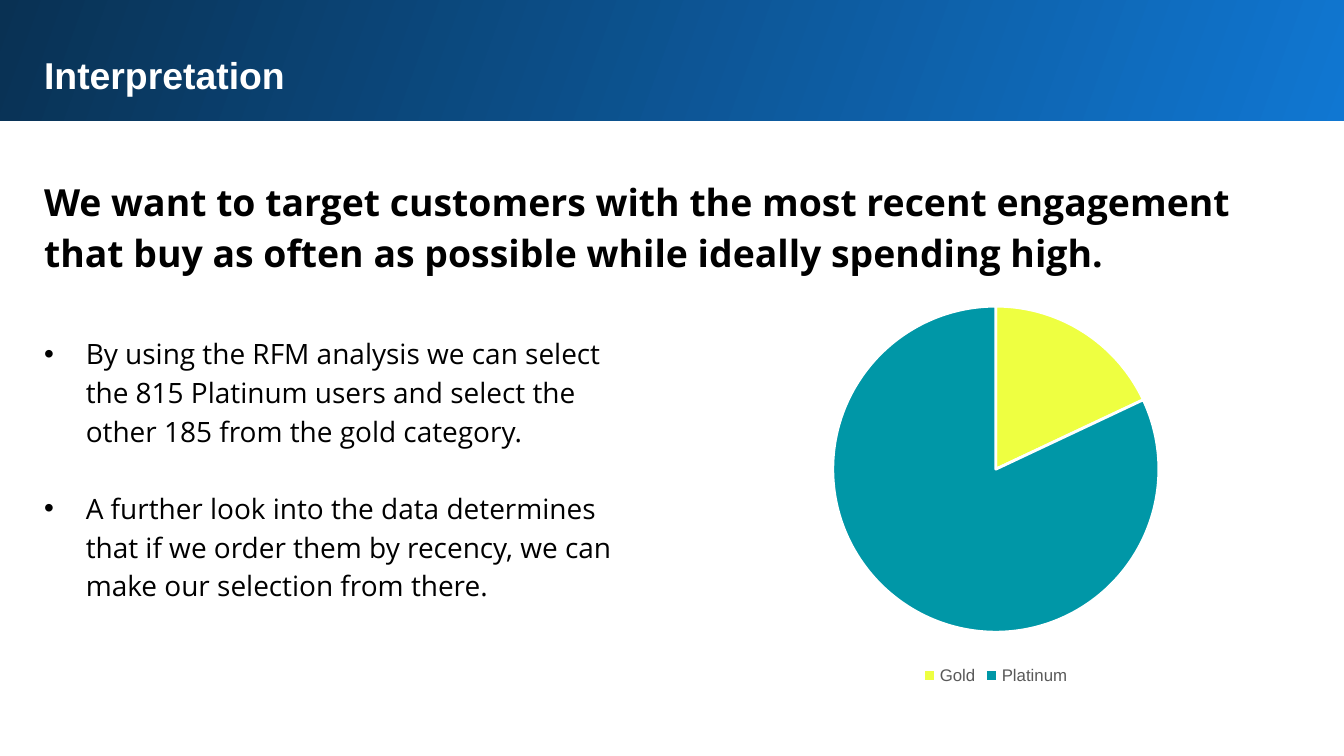
from lxml import etree
from pptx import Presentation
from pptx.chart.data import CategoryChartData
from pptx.dml.color import RGBColor
from pptx.enum.chart import XL_CHART_TYPE as ChartType, XL_LEGEND_POSITION as LegendPosition
from pptx.enum.shapes import MSO_SHAPE as ShapeType
from pptx.oxml.ns import qn
from pptx.util import Inches, Pt

THEME = {
    "white": "FFFFFF", "black": "000000", "grey": "595959",
    "band": ("1077D2", "093153"), "band_angle": 160,
    "heading_font": "Arial", "body_font": "Open Sans",
    "heading_size": 20, "body_size": 15, "chart_size": 10, "legend_size": 9,
    "line_spacing": 1.15, "bullet_gap": 20.7, "bullet_indent": 0.31,
}
TITLE = "Interpretation"
MESSAGE = ("We want to target customers with the most recent engagement "
           "that buy as often as possible while ideally spending high.")
BULLETS = [
    "By using the RFM analysis we can select the 815 Platinum users "
    "and select the other 185 from the gold category.",
    "A further look into the data determines that if we order them by recency, "
    "we can make our selection from there.",
]
SEGMENTS = [("Gold", 18, "EEFF41"), ("Platinum", 82, "0097A7")]

SLIDE_WIDTH = 10
SLIDE_HEIGHT = SLIDE_WIDTH * 9 / 16
LEFT, WIDTH = 0.23, 9.37
HEADING = {"name": THEME["heading_font"], "size": THEME["heading_size"],
           "color": THEME["white"], "bold": True}
STATEMENT = {**HEADING, "name": THEME["body_font"], "color": THEME["black"]}
BODY = {**STATEMENT, "size": THEME["body_size"], "bold": False}


def apply_format(target, values):
    for name, value in values.items():
        setattr(target, name, value)


def style_font(font, style):
    values = dict(style)
    font.color.rgb = RGBColor.from_string(values.pop("color"))
    apply_format(font, {**values, "size": Pt(values["size"])})


def add_bullet(paragraph):
    properties = paragraph._p.get_or_add_pPr()
    indent = Inches(THEME["bullet_indent"])
    properties.set("marL", str(indent))
    properties.set("indent", str(-indent))
    etree.SubElement(properties, qn("a:buFont")).set("typeface", "Arial")
    etree.SubElement(properties, qn("a:buChar")).set("char", "•")


def add_text(slide, box, texts, style, line_spacing=1.0, bullets=False):
    frame = slide.shapes.add_textbox(*map(Inches, box)).text_frame
    margins = {f"margin_{side}": Inches(0.1) for side in ("left", "right", "top", "bottom")}
    apply_format(frame, {"word_wrap": True, **margins})
    for index, text in enumerate(texts):
        paragraph = frame.add_paragraph() if index else frame.paragraphs[0]
        gap = Pt(THEME["bullet_gap"] if index else 0)
        apply_format(paragraph, {"line_spacing": line_spacing, "space_before": gap})
        if bullets:
            add_bullet(paragraph)
        run = paragraph.add_run()
        run.text = text
        style_font(run.font, style)


def add_band(slide):
    band = slide.shapes.add_shape(
        ShapeType.RECTANGLE, *map(Inches, (-0.02, -0.02, 10.05, 0.92)))
    band.shadow.inherit = False
    band.line.fill.background()
    band.fill.gradient()
    band.fill.gradient_angle = THEME["band_angle"]
    for stop, position, color in zip(band.fill.gradient_stops, (0, 1), THEME["band"]):
        stop.position = position
        stop.color.rgb = RGBColor.from_string(color)


def add_pie(slide):
    data = CategoryChartData()
    data.categories = [name for name, _, _ in SEGMENTS]
    data.add_series("Series 1", [value for _, value, _ in SEGMENTS])
    chart = slide.shapes.add_chart(
        ChartType.PIE, *map(Inches, (4.91, 2.14, 5, 3)), data).chart
    apply_format(chart, {"has_title": False, "has_legend": True})
    apply_format(chart.legend, {"position": LegendPosition.BOTTOM, "include_in_layout": False})
    label = {"name": THEME["heading_font"], "size": THEME["chart_size"], "color": THEME["black"]}
    style_font(chart.font, label)
    style_font(chart.legend.font, {**label, "size": THEME["legend_size"], "color": THEME["grey"]})
    plot = chart.plots[0]
    plot.vary_by_categories = True
    for index, (_, _, color) in enumerate(SEGMENTS):
        wedge = plot.series[0].points[index].format
        wedge.fill.solid()
        wedge.fill.fore_color.rgb = RGBColor.from_string(color)
        wedge.line.color.rgb = RGBColor.from_string(THEME["white"])
        wedge.line.width = Pt(1.5)


def main():
    presentation = Presentation()
    apply_format(presentation, {"slide_width": Inches(SLIDE_WIDTH),
                                "slide_height": Inches(SLIDE_HEIGHT)})
    slide = presentation.slides.add_slide(presentation.slide_layouts[6])
    spacing = THEME["line_spacing"]
    add_band(slide)
    add_text(slide, (LEFT, 0.29, WIDTH, 0.83), [TITLE], HEADING)
    add_text(slide, (LEFT, 1.18, WIDTH, 0.95), [MESSAGE], STATEMENT, spacing)
    add_text(slide, (LEFT, 2.37, 4.52, 2.22), BULLETS, BODY, spacing, bullets=True)
    add_pie(slide)
    presentation.save("out.pptx")


if __name__ == "__main__":
    main()
